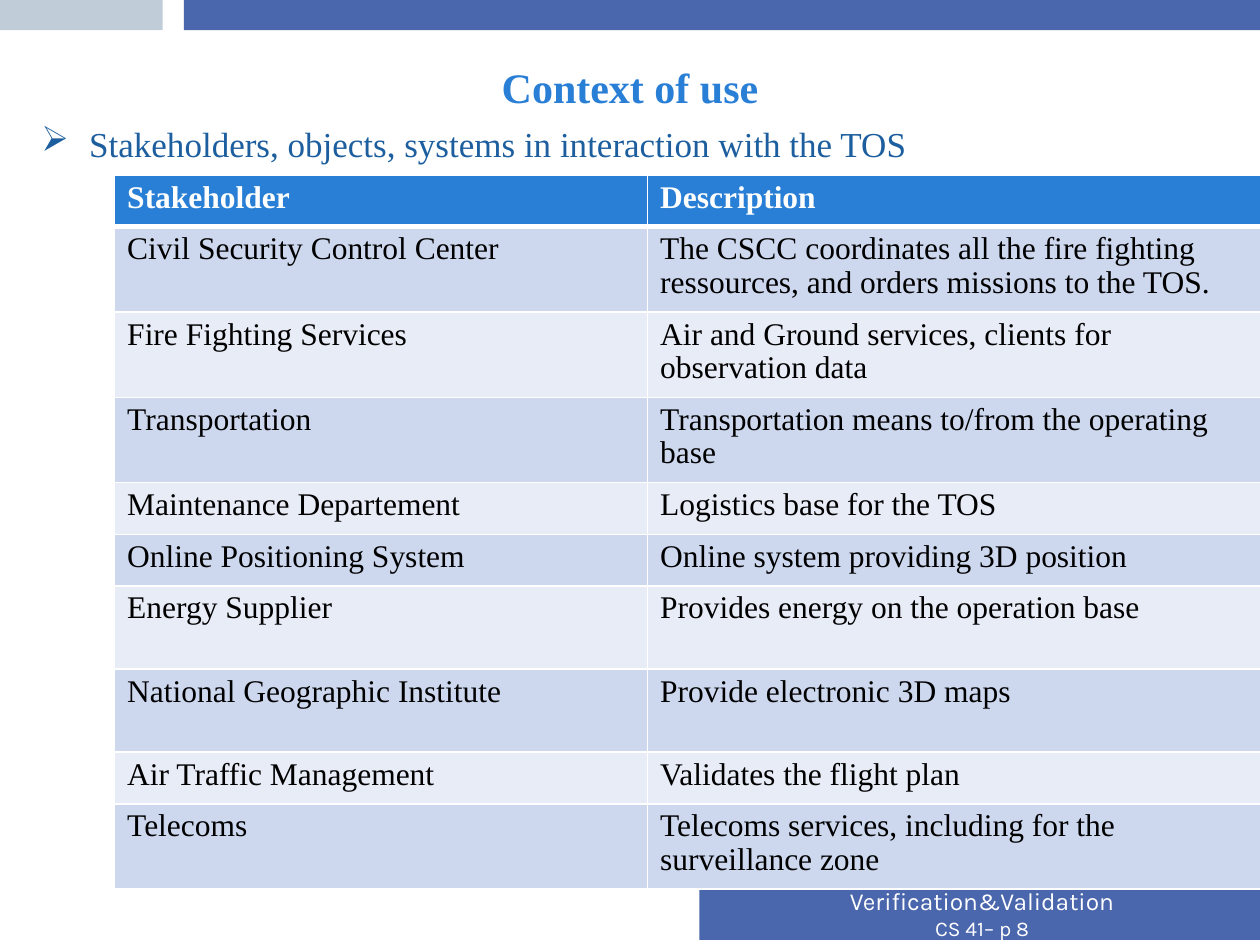
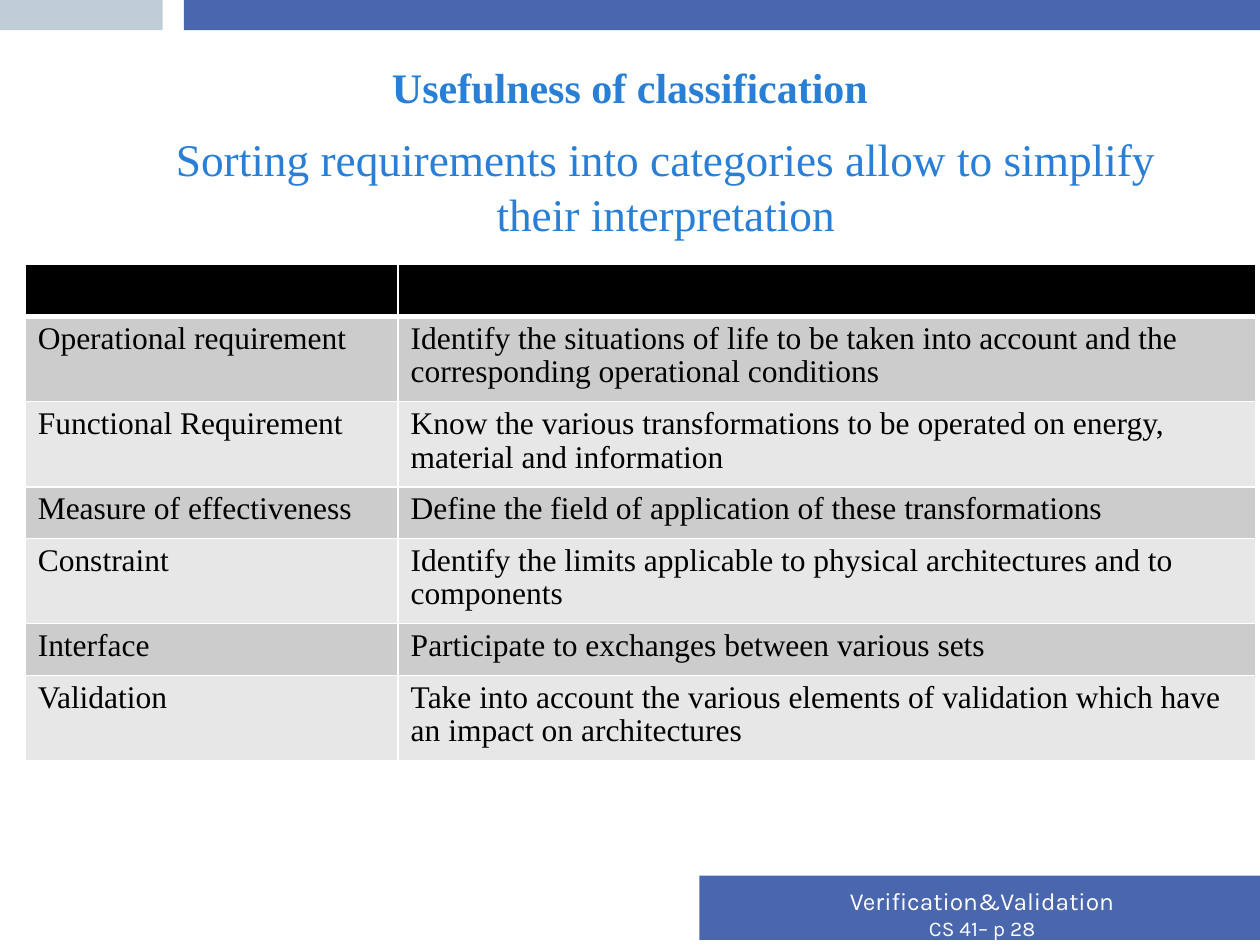
"""Builds two table slides on stakeholders and requirement categories."""
from lxml import etree
from pptx import Presentation
from pptx.dml.color import RGBColor
from pptx.enum import shapes, text
from pptx.oxml import ns
from pptx.util import Inches, Pt

WHITE = RGBColor(0xFF, 0xFF, 0xFF)
BLACK = RGBColor(0, 0, 0)
BAND_BLUE = RGBColor(0x4A, 0x66, 0xAC)
BAND_GREY = RGBColor(0xC0, 0xCC, 0xD8)
TITLE_BLUE = RGBColor(0x29, 0x7F, 0xD5)
BULLET_BLUE = RGBColor(0x1C, 0x5E, 0x9E)
BLUE_ROWS = (RGBColor(0xCD, 0xD8, 0xEF), RGBColor(0xE8, 0xEC, 0xF7))
GREY_ROWS = (RGBColor(0xCC, 0xCC, 0xCC), RGBColor(0xE7, 0xE7, 0xE7))
SERIF, SANS = "Times New Roman", "Karla"

BANDS = [
    ((1.46, 0, 8.54, 0.24), BAND_BLUE),
    ((0, 0, 1.29, 0.24), BAND_GREY),
    ((5.55, 6.95, 4.45, 0.51), BAND_BLUE),
]
TITLE_FORMAT = {"name": SERIF, "size": Pt(24), "bold": True, "color": TITLE_BLUE}
BULLET_FORMAT = {"name": SERIF, "size": Pt(20), "color": BULLET_BLUE}
CALLOUT_FORMAT = {"name": SERIF, "size": Pt(25.9), "color": TITLE_BLUE}
HEADER_FORMAT = {"name": SERIF, "size": Pt(18), "bold": True, "color": WHITE}
CELL_FORMAT = {"name": SERIF, "size": Pt(18), "bold": False, "color": BLACK}
FOOTER_FORMATS = [{"name": SANS, "size": Pt(size), "color": WHITE} for size in (14, 12)]

STAKEHOLDERS = {
    "place": (0.91, 1.39),
    "columns": (4.23, 4.87),
    "heights": (0.41, 0.65, 0.65, 0.65, 0.41, 0.41, 0.66, 0.66, 0.41, 0.65),
    "header_fill": TITLE_BLUE,
    "row_fills": BLUE_ROWS,
    "rows": [
        ("Stakeholder", "Description"),
        ("Civil Security Control Center",
         "The CSCC coordinates all the fire fighting ressources, and orders missions to the TOS."),
        ("Fire Fighting Services", "Air and Ground services, clients for observation data"),
        ("Transportation", "Transportation means to/from the operating base"),
        ("Maintenance Departement", "Logistics base for the TOS"),
        ("Online Positioning System", "Online system providing 3D position"),
        ("Energy Supplier", "Provides energy on the operation base"),
        ("National Geographic Institute", "Provide electronic 3D maps"),
        ("Air Traffic Management", "Validates the flight plan"),
        ("Telecoms", "Telecoms services, including for the surveillance zone"),
    ],
}
CATEGORIES = {
    "place": (0.2, 2.1),
    "columns": (2.96, 6.81),
    "heights": (0.41, 0.65, 0.65, 0.41, 0.65, 0.41, 0.65),
    "header_fill": BLACK,
    "row_fills": GREY_ROWS,
    "rows": [
        ("", ""),
        ("Operational requirement",
         "Identify the situations of life to be taken into account and the "
         "corresponding operational conditions"),
        ("Functional Requirement",
         "Know the various transformations to be operated on energy, material and information"),
        ("Measure of effectiveness", "Define the field of application of these transformations"),
        ("Constraint", "Identify the limits applicable to physical architectures and to components"),
        ("Interface", "Participate to exchanges between various sets"),
        ("Validation",
         "Take into account the various elements of validation which have an impact on architectures"),
    ],
}


def apply_font(font, formats):
    for name, value in formats.items():
        if name == "color":
            font.color.rgb = value
        else:
            setattr(font, name, value)


def write(paragraph, content, formats, align=text.PP_ALIGN.LEFT):
    paragraph.alignment = align
    if content:
        run = paragraph.add_run()
        run.text = content
        apply_font(run.font, formats)
    else:
        apply_font(paragraph.font, formats)


def add_box(slide, place, anchor=text.MSO_ANCHOR.TOP):
    frame = slide.shapes.add_textbox(*map(Inches, place)).text_frame
    frame.word_wrap = True
    frame.vertical_anchor = anchor
    return frame


def add_rectangle(slide, place, color):
    shape = slide.shapes.add_shape(shapes.MSO_SHAPE.RECTANGLE, *map(Inches, place))
    shape.shadow.inherit = False
    shape.fill.solid()
    shape.fill.fore_color.rgb = color
    shape.line.fill.background()
    return shape


def add_frame(presentation, title, page):
    slide = presentation.slides.add_slide(presentation.slide_layouts[6])
    for place, color in BANDS:
        add_rectangle(slide, place, color)
    footer = add_box(slide, (5.55, 6.98, 4.49, 0.54))
    footer.add_paragraph()
    lines = ("Verification&Validation", f"CS 41– p {page}")
    for paragraph, line, formats in zip(footer.paragraphs, lines, FOOTER_FORMATS):
        write(paragraph, line, formats, text.PP_ALIGN.CENTER)
    heading = add_box(slide, (0.5, 0.3, 9, 0.77), text.MSO_ANCHOR.MIDDLE)
    write(heading.paragraphs[0], title, TITLE_FORMAT, text.PP_ALIGN.CENTER)
    return slide


def add_bullet(slide, place, content):
    paragraph = add_box(slide, place).paragraphs[0]
    properties = paragraph._p.get_or_add_pPr()
    properties.set("marL", str(Inches(0.38)))
    properties.set("indent", str(-Inches(0.38)))
    etree.SubElement(properties, ns.qn("a:buChar"), char="➢")
    write(paragraph, content, BULLET_FORMAT)


def set_borders(cell, bottom_width):
    properties = cell._tc.get_or_add_tcPr()
    for side, width in (("L", 1), ("R", 1), ("T", 1), ("B", bottom_width)):
        line = etree.SubElement(properties, ns.qn(f"a:ln{side}"), w=str(Pt(width)))
        fill = etree.SubElement(line, ns.qn("a:solidFill"))
        etree.SubElement(fill, ns.qn("a:srgbClr"), val=str(WHITE))


def add_grid(slide, place, columns, heights, header_fill, row_fills, rows):
    size = (sum(columns), sum(heights))
    table = slide.shapes.add_table(len(rows), len(columns), *map(Inches, place + size)).table
    for column, width in zip(table.columns, columns):
        column.width = Inches(width)
    for index, (row, height, contents) in enumerate(zip(table.rows, heights, rows)):
        row.height = Inches(height)
        is_header = index == 0
        for cell, content in zip(row.cells, contents):
            set_borders(cell, 3 if is_header else 1)
            cell.fill.solid()
            cell.fill.fore_color.rgb = header_fill if is_header else row_fills[(index - 1) % 2]
            paragraph = cell.text_frame.paragraphs[0]
            paragraph.line_spacing = 0.96
            write(paragraph, content, HEADER_FORMAT if is_header else CELL_FORMAT)


def add_callout(slide, place, content):
    frame = add_rectangle(slide, place, WHITE).text_frame
    frame.word_wrap = True
    frame.vertical_anchor = text.MSO_ANCHOR.MIDDLE
    write(frame.paragraphs[0], content, CALLOUT_FORMAT, text.PP_ALIGN.CENTER)


def main():
    presentation = Presentation()
    presentation.slide_width, presentation.slide_height = Inches(10), Inches(7.5)

    context = add_frame(presentation, "Context of use", 8)
    add_bullet(context, (0.23, 0.92, 9.77, 3.23),
               "Stakeholders, objects, systems in interaction with the TOS")
    add_grid(context, **STAKEHOLDERS)

    usefulness = add_frame(presentation, "Usefulness of classification", 28)
    add_grid(usefulness, **CATEGORIES)
    add_callout(usefulness, (1.06, 0.99, 8.45, 0.97),
                "Sorting requirements into categories allow to simplify their interpretation")

    presentation.save("out.pptx")


if __name__ == "__main__":
    main()
